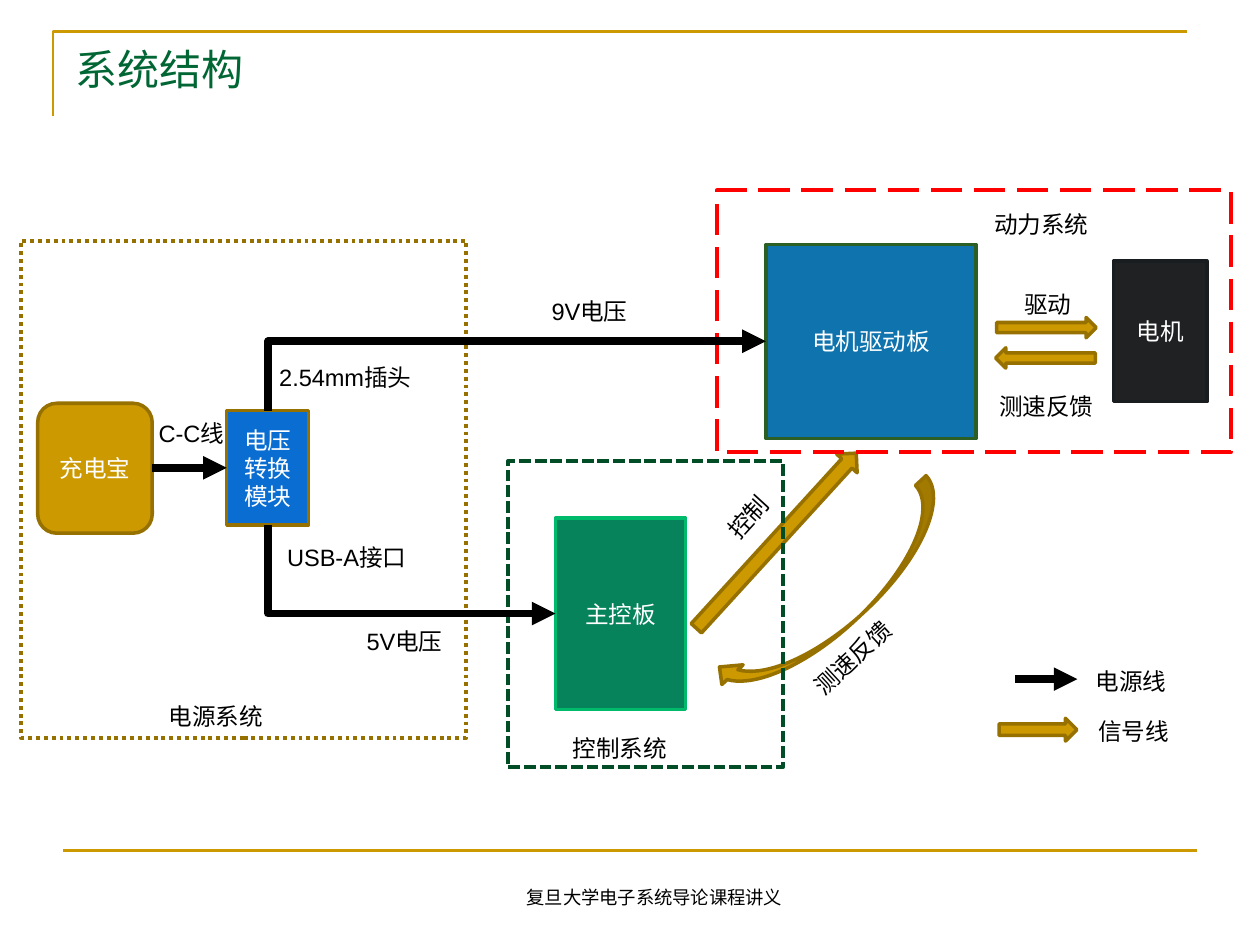
from lxml.etree import SubElement
from pptx import Presentation
from pptx.dml.color import RGBColor
from pptx.enum.dml import MSO_LINE
from pptx.enum.shapes import MSO_CONNECTOR, MSO_SHAPE
from pptx.enum.text import MSO_ANCHOR, PP_ALIGN
from pptx.oxml.ns import qn
from pptx.util import Cm, Pt

GOLD, BRONZE, BLACK, WHITE = "CC9900", "977100", "000000", "FFFFFF"
LABEL_HEIGHT = 0.84

TITLE = ("系统结构", (1.27, 0.76, 22.86, 2.36))
FOOTER = ("复旦大学电子系统导论课程讲义", (2.49, 17.73, 21.41, 0.71))
CORNER_RULE = [(1.07, 2.34), (1.07, 0.64), (23.93, 0.64)]
BOTTOM_RULE = [(1.27, 17.15), (24.13, 17.15)]

BLOCKS = [
    ("充电宝", MSO_SHAPE.ROUNDED_RECTANGLE, (0.76, 8.13, 2.31, 2.62), GOLD, BRONZE),
    ("电压转换模块", MSO_SHAPE.RECTANGLE, (4.57, 8.28, 1.65, 2.31), "0A6DD2", BRONZE),
    ("主控板", MSO_SHAPE.RECTANGLE, (11.2, 10.44, 2.62, 3.86), "06835B", "00BA6C"),
    ("电机驱动板", MSO_SHAPE.RECTANGLE, (15.44, 4.93, 4.24, 3.91), "0F73AE", "2C5F23"),
    ("电机", MSO_SHAPE.RECTANGLE, (22.45, 5.26, 1.88, 2.84), "202123", "191D20"),
]
SIGNALS = [
    (MSO_SHAPE.RIGHT_ARROW, (13.26, 10.62, 4.78, 0.56), 312.4),
    (MSO_SHAPE.RIGHT_ARROW, (20.09, 6.4, 2.01, 0.41), 0),
    (MSO_SHAPE.RIGHT_ARROW, (20.07, 7.01, 2.01, 0.41), 180),
    (MSO_SHAPE.CURVED_DOWN_ARROW, (13.89, 11.46, 5.97, 1.17), 137.2),
    (MSO_SHAPE.RIGHT_ARROW, (20.14, 14.48, 1.57, 0.46), 0),
]
SYSTEMS = [
    ((0.43, 4.85, 8.97, 10.03), BRONZE, MSO_LINE.ROUND_DOT),
    ((10.24, 9.3, 5.54, 6.17), "004D26", MSO_LINE.SQUARE_DOT),
    ((14.45, 3.84, 10.36, 5.28), "FF0000", MSO_LINE.LONG_DASH),
]
DASH_NAMES = {MSO_LINE.ROUND_DOT: "sysDot", MSO_LINE.SQUARE_DOT: "sysDash"}
WIRES = [
    ((4.57, 9.43), (3.07, 9.43)),
    ((11.2, 12.37), (5.41, 10.59)),
    ((15.44, 6.88), (5.41, 8.28)),
    ((21.72, 13.69), (20.47, 13.69)),
]
LABELS = [
    ("2.54mm插头", 5.38, 7.19, 4.01, 0),
    ("5V电压", 7.14, 12.52, 2.62, 0),
    ("9V电压", 10.87, 5.87, 3.4, 0),
    ("C-C线", 2.95, 8.33, 2.1, 0),
    ("USB-A接口", 5.54, 10.82, 3.4, 0),
    ("控制", 14.35, 9.98, 1.52, 312.4),
    ("驱动", 20.4, 5.72, 1.47, 0),
    ("测速反馈", 15.95, 12.73, 2.74, 317.2),
    ("测速反馈", 19.89, 7.77, 2.74, 0),
    ("电源线", 21.84, 13.31, 2.74, 0),
    ("信号线", 21.89, 14.33, 2.74, 0),
    ("电源系统", 3.15, 14.02, 3.4, 0),
    ("控制系统", 11.3, 14.68, 3.4, 0),
    ("动力系统", 19.79, 4.11, 3.4, 0),
]


def color(value):
    return RGBColor.from_string(value)


def lengths(values):
    return [Cm(value) for value in values]


def set_line(item, value, width):
    item.line.color.rgb = color(value)
    item.line.width = Pt(width)


def write(box, text, size=13.5, ink=BLACK, font="Arial",
          align=PP_ALIGN.LEFT, anchor=MSO_ANCHOR.TOP):
    frame = box.text_frame
    frame.word_wrap = True
    frame.vertical_anchor = anchor
    para = frame.paragraphs[0]
    para.alignment = align
    span = para.add_run()
    span.text = text
    span.font.color.rgb = color(ink)
    for name, value in {"name": font, "size": Pt(size)}.items():
        setattr(span.font, name, value)


def add_text(page, text, place, rotation=0, **style):
    box = page.shapes.add_textbox(*lengths(place))
    box.rotation = rotation
    write(box, text, **style)


def add_shape(page, kind, place, fill, line, width=2, rotation=0):
    shape = page.shapes.add_shape(kind, *lengths(place))
    shape.shadow.inherit = False
    shape.rotation = rotation
    if fill:
        shape.fill.solid()
        shape.fill.fore_color.rgb = color(fill)
    else:
        shape.fill.background()
    set_line(shape, line, width)
    return shape


def add_line(page, start, end, value, width, arrow=False):
    line = page.shapes.add_connector(MSO_CONNECTOR.STRAIGHT, *lengths(start + end))
    set_line(line, value, width)
    properties = line._element.spPr
    if start[1] != end[1]:
        properties.find(qn("a:prstGeom")).set("prst", "bentConnector2")
    if arrow:
        SubElement(properties.find(qn("a:ln")), qn("a:headEnd"), type="triangle")
    SubElement(properties, qn("a:effectLst"))


def add_corner_rule(page):
    first, *others = [lengths(point) for point in CORNER_RULE]
    builder = page.shapes.build_freeform(*first)
    builder.add_line_segments(others, close=False)
    rule = builder.convert_to_shape()
    rule.shadow.inherit = False
    rule.fill.background()
    set_line(rule, GOLD, 1.5)


def main():
    """Build the system structure slide and save it."""
    deck = Presentation()
    deck.slide_width, deck.slide_height = Cm(25.4), Cm(19.05)
    page = deck.slides.add_slide(deck.slide_layouts[6])
    add_corner_rule(page)
    add_line(page, *BOTTOM_RULE, GOLD, 1.5)
    add_text(page, *FOOTER, size=10.5, align=PP_ALIGN.CENTER)
    add_text(page, *TITLE, size=24, ink="006633", font="Times New Roman")
    for text, kind, place, fill, line in BLOCKS:
        block = add_shape(page, kind, place, fill, line)
        write(block, text, ink=WHITE, align=PP_ALIGN.CENTER, anchor=MSO_ANCHOR.MIDDLE)
    for kind, place, rotation in SIGNALS:
        add_shape(page, kind, place, GOLD, BRONZE, rotation=rotation)
    for place, line, dash in SYSTEMS:
        system = add_shape(page, MSO_SHAPE.RECTANGLE, place, None, line, 2.25)
        system.line.dash_style = dash
        if dash in DASH_NAMES:
            system.line._ln.find(qn("a:prstDash")).set("val", DASH_NAMES[dash])
    for start, end in WIRES:
        add_line(page, start, end, BLACK, 4.5, arrow=True)
    for text, left, top, width, rotation in LABELS:
        add_text(page, text, (left, top, width, LABEL_HEIGHT), rotation)
    deck.save("out.pptx")


if __name__ == "__main__":
    main()
